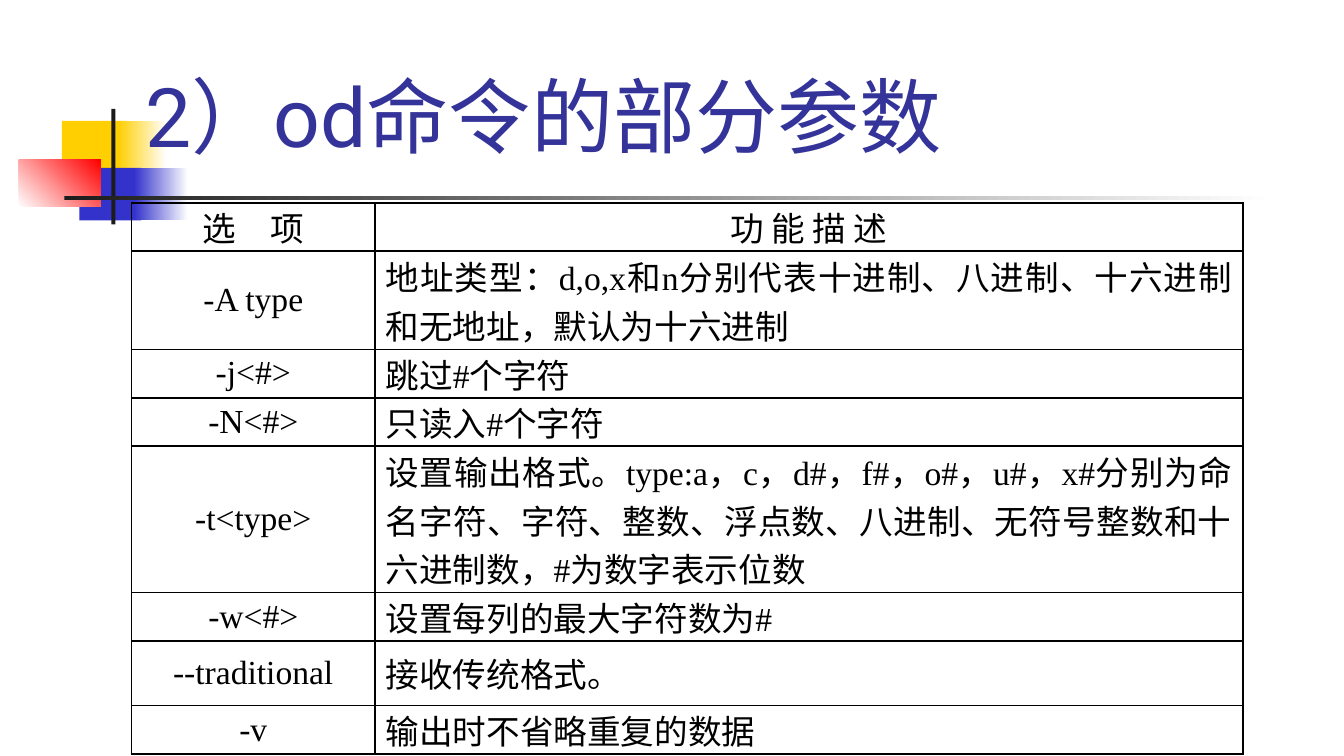
from lxml.etree import SubElement
from pptx import Presentation
from pptx.dml.color import RGBColor
from pptx.enum.shapes import MSO_SHAPE
from pptx.enum.text import MSO_ANCHOR, PP_ALIGN
from pptx.oxml.ns import qn
from pptx.util import Inches, Pt

TITLE = " 2）od命令的部分参数"
# left, top, width, height, colours (two make a gradient), gradient angle
DECOR = [
    (0.46, 0.9, 0.48, 0.39, ["FFCF01"], 0),
    (0.88, 0.9, 0.36, 0.39, ["FFCF01", "FFFFFF"], 0),
    (0.59, 1.25, 0.46, 0.39, ["3333CC"], 0),
    (1, 1.25, 0.4, 0.39, ["3333CC", "FFFFFF"], 0),
    (0.14, 1.19, 0.61, 0.35, ["FFFFFF", "FF0000"], 45),
    (0.83, 0.81, 0.03, 0.86, ["1C1C1C"], 0),
    (0.48, 1.46, 9, 0.03, ["1C1C1C", "FFFFFF"], 0),
]
COL_WIDTHS = [1.81, 6.46]
# row height, option, description
ROWS = [
    (0.36, "选　项", "功 能 描 述"),
    (0.73, "-A type", "地址类型：d,o,x和n分别代表十进制、八进制、十六进制和无地址，默认为十六进制"),
    (0.36, "-j<#>", "跳过#个字符"),
    (0.36, "-N<#>", "只读入#个字符"),
    (1.09, "-t<type>", "设置输出格式。type:a，c，d#，f#，o#，u#，x#分别为命名字符、字符、整数、"
                       "浮点数、八进制、无符号整数和十六进制数，#为数字表示位数"),
    (0.36, "-w<#>", "设置每列的最大字符数为#"),
    (0.48, "--traditional", "接收传统格式。"),
    (0.36, "-v", "输出时不省略重复的数据"),
]


def rgb(color):
    return RGBColor.from_string(color)


def set_font(p, name, size, color):
    p.font.name, p.font.size = name, Pt(size)
    p.font.color.rgb = rgb(color)


def add_block(s, left, top, width, height, colors, angle):
    sp = s.shapes.add_shape(MSO_SHAPE.RECTANGLE, *map(Inches, (left, top, width, height)))
    sp.shadow.inherit = False
    sp.line.fill.background()
    if len(colors) == 1:
        sp.fill.solid()
        sp.fill.fore_color.rgb = rgb(colors[0])
        return
    sp.fill.gradient()
    sp.fill.gradient_angle = angle
    for stop, color in zip(sp.fill.gradient_stops, colors):
        stop.color.rgb = rgb(color)


def add_title(s):
    tf = s.shapes.add_textbox(*map(Inches, (0.83, 0.33, 8.92, 0.94))).text_frame
    tf.word_wrap = True
    tf.vertical_anchor = MSO_ANCHOR.BOTTOM
    p = tf.paragraphs[0]
    p.text = TITLE
    set_font(p, "Roboto", 44, "333399")


def add_borders(cell, color, width):
    tcPr = cell._tc.get_or_add_tcPr()
    for side in ("a:lnL", "a:lnR", "a:lnT", "a:lnB"):
        ln = SubElement(tcPr, qn(side), w=str(Pt(width)))
        SubElement(SubElement(ln, qn("a:solidFill")), qn("a:srgbClr"), val=color)


def fill_cell(cell, text, align):
    cell.vertical_anchor = MSO_ANCHOR.MIDDLE
    cell.margin_left = cell.margin_right = Inches(0.08)
    cell.margin_top = cell.margin_bottom = 0
    add_borders(cell, "000000", 1)
    cell.fill.background()
    p = cell.text_frame.paragraphs[0]
    p.text = text
    p.alignment = align
    set_font(p, "Times New Roman", 18, "000000")


def add_options_table(s):
    height = sum(row[0] for row in ROWS)
    box = map(Inches, (0.98, 1.51, sum(COL_WIDTHS), height))
    table = s.shapes.add_table(len(ROWS), len(COL_WIDTHS), *box).table
    table.first_row = table.horz_banding = False
    for column, width in zip(table.columns, COL_WIDTHS):
        column.width = Inches(width)
    for i, (row_height, *texts) in enumerate(ROWS):
        table.rows[i].height = Inches(row_height)
        for j, text in enumerate(texts):
            centred = i == 0 or j == 0
            fill_cell(table.cell(i, j), text, PP_ALIGN.CENTER if centred else PP_ALIGN.JUSTIFY)


def main():
    prs = Presentation()
    prs.slide_width, prs.slide_height = Inches(10), Inches(10 * 9 / 16)
    s = prs.slides.add_slide(prs.slide_layouts[6])
    for block in DECOR:
        add_block(s, *block)
    add_title(s)
    add_options_table(s)
    prs.save("out.pptx")


if __name__ == "__main__":
    main()
